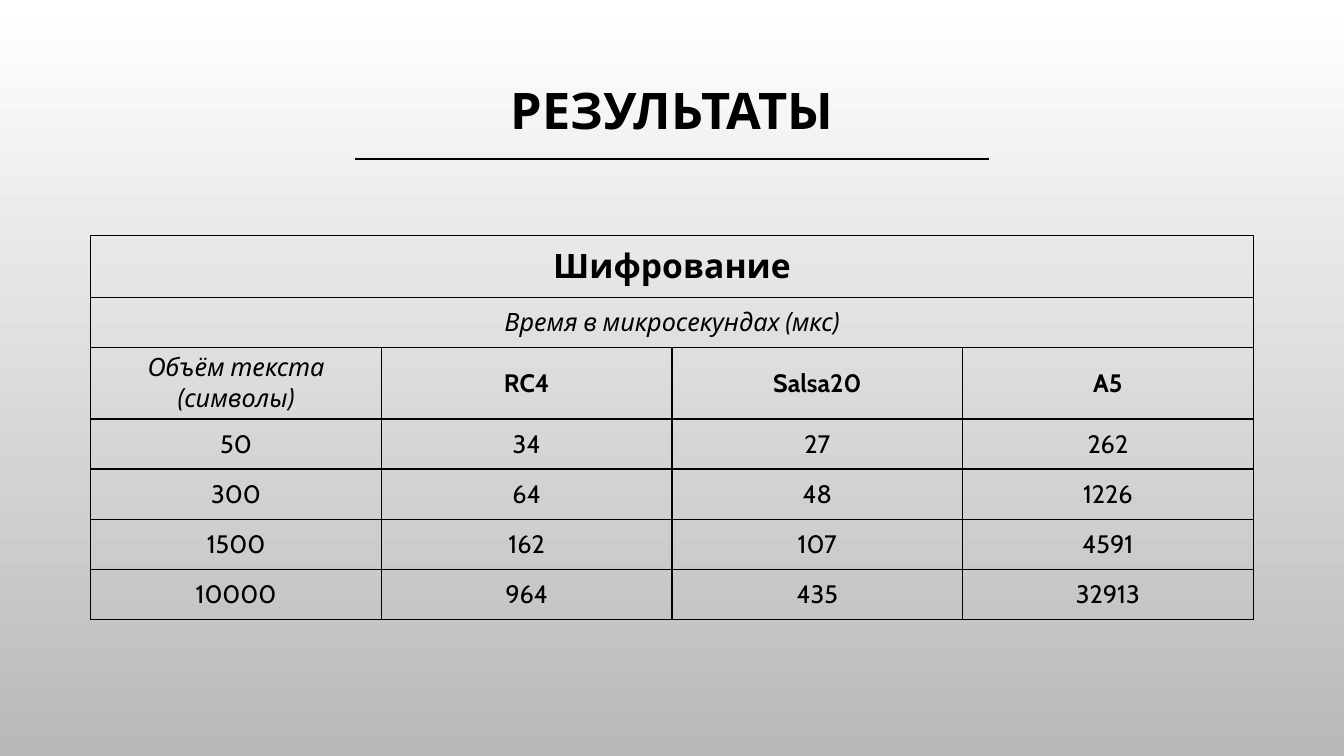
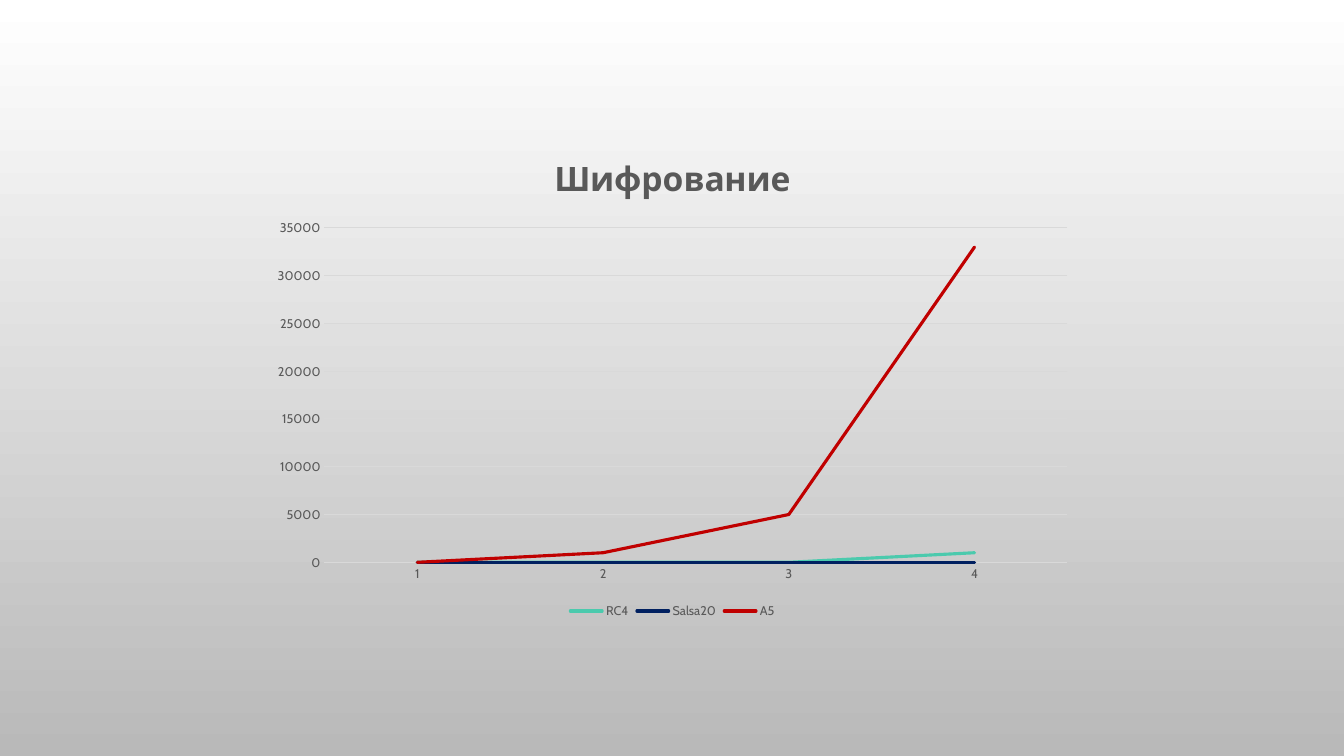
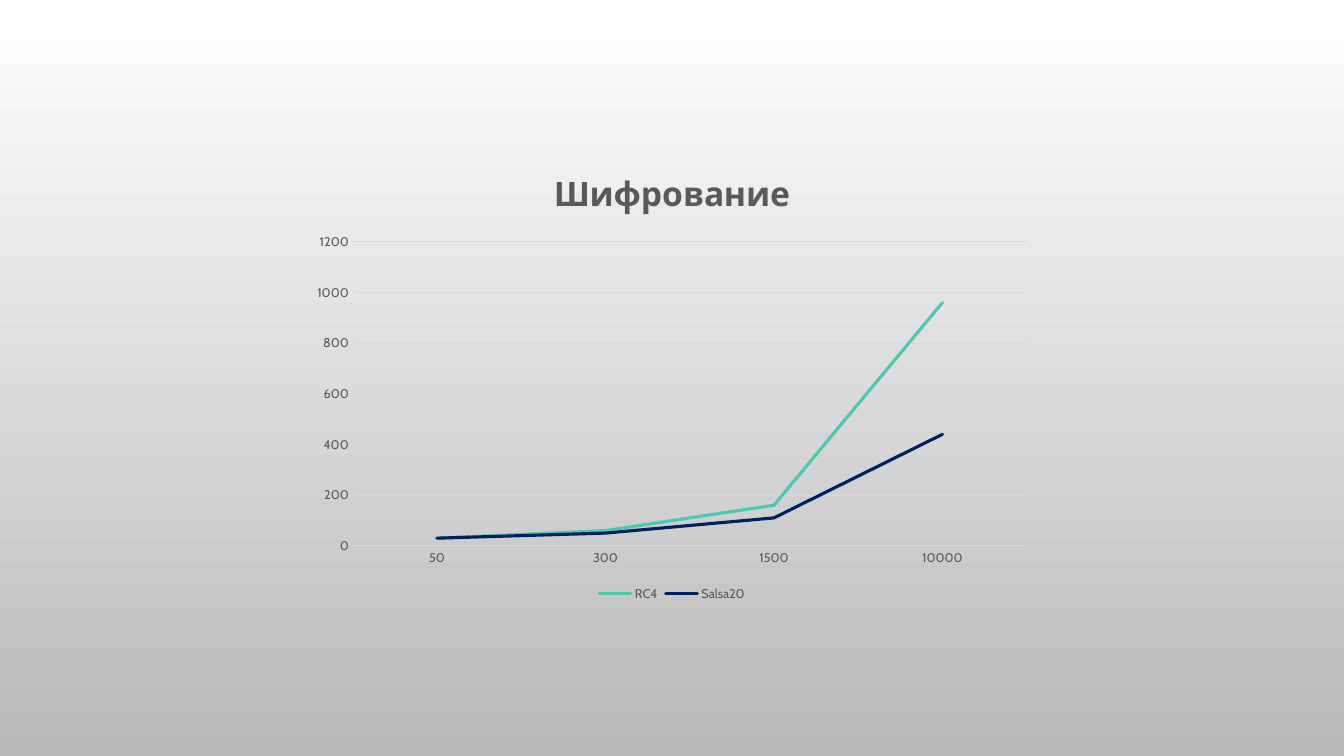
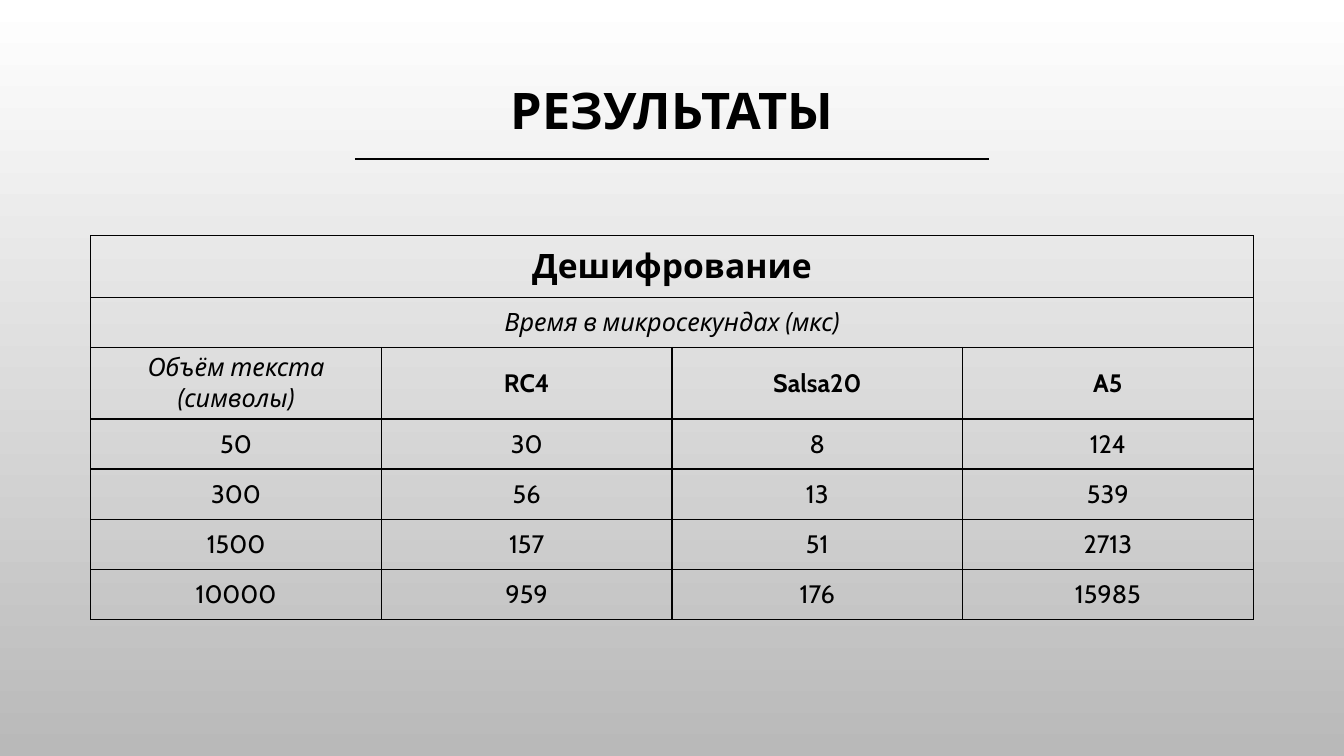
import dataclasses

import lxml.etree
import pptx
import pptx.chart.data
import pptx.dml.color
import pptx.enum.chart
import pptx.enum.shapes
import pptx.enum.text
import pptx.oxml.ns
import pptx.util

Inches = pptx.util.Inches
Pt = pptx.util.Pt
qn = pptx.oxml.ns.qn


@dataclasses.dataclass(frozen=True)
class Theme:
    font: str = "Cabin"
    ink: str = "000000"
    gray: str = "595959"
    grid: str = "D9D9D9"
    top: str = "FFFFFF"
    foot: str = "B9B9B9"
    lines: tuple = ("4BCAAD", "002060", "C00000")
    title: int = 36
    head: int = 24
    body: int = 18
    base: int = 10
    small: int = 9


THEME = Theme()

CIPHERS = ("RC4", "Salsa20", "A5")
SIZES = (50, 300, 1500, 10000)
ENCODE = ((34, 27, 262), (64, 48, 1226), (162, 107, 4591), (964, 435, 32913))
DECODE = ((30, 8, 124), (56, 13, 539), (157, 51, 2713), (959, 176, 15985))


def rgb(code):
    return pptx.dml.color.RGBColor.from_string(code)


def style(font, size, color, bold=False, italic=False):
    font.name = THEME.font
    font.size = Pt(size)
    font.color.rgb = rgb(color)
    font.bold = bold
    font.italic = italic


def write(frame, text, size=THEME.body, color=THEME.ink, bold=False,
          italic=False, space=None):
    """Put one centred paragraph into a text frame."""
    para = frame.paragraphs[0]
    para.alignment = pptx.enum.text.PP_ALIGN.CENTER
    if space:
        para.line_spacing = space
    run = para.add_run()
    run.text = text
    style(run.font, size, color, bold, italic)


def stroke(line, color, width):
    line.color.rgb = rgb(color)
    line.width = Pt(width)


def paint(master):
    """Give every slide the vertical gradient."""
    fill = master.background.fill
    fill.gradient()
    fill.gradient_angle = 270
    for stop, color in zip(fill.gradient_stops, (THEME.top, THEME.foot)):
        stop.color.rgb = rgb(color)


def header(slide, text, left, top, width, height):
    """Place a title with a centred rule along its lower edge."""
    box = slide.shapes.add_textbox(
        Inches(left), Inches(top), Inches(width), Inches(height))
    frame = box.text_frame
    frame.word_wrap = True
    frame.vertical_anchor = pptx.enum.text.MSO_ANCHOR.MIDDLE
    write(frame, text, size=THEME.title, bold=True, space=0.9)

    span = 6.29
    start = left + (width - span) / 2
    base = Inches(top + height + 0.01)
    rule = slide.shapes.add_connector(
        pptx.enum.shapes.MSO_CONNECTOR.STRAIGHT,
        Inches(start), base, Inches(start + span), base)
    stroke(rule.line, THEME.ink, 1.5)
    lxml.etree.SubElement(rule._element.spPr, qn("a:effectLst"))


def border(cell, color, width):
    props = cell._tc.get_or_add_tcPr()
    for side in ("lnL", "lnR", "lnT", "lnB"):
        line = lxml.etree.SubElement(props, qn("a:" + side), w=str(Pt(width)))
        fill = lxml.etree.SubElement(line, qn("a:solidFill"))
        lxml.etree.SubElement(fill, qn("a:srgbClr"), val=color)


def results(slide, name, data, left, top, width, height, first=0.61, wrap=0.2):
    """Place a table: two merged heading rows, cipher names, then timings.

    The height keeps room (wrap) for the row whose text takes two lines.
    """
    plain, bold, italic = {}, {"bold": True}, {"italic": True}
    rows = [
        [(name, {"size": THEME.head, "bold": True})],
        [("Время в микросекундах (мкс)", italic)],
        [("Объём текста (символы)", italic)] + [(c, bold) for c in CIPHERS],
    ]
    for size, times in zip(SIZES, data):
        rows.append([(str(value), plain) for value in (size, *times)])

    count = len(CIPHERS) + 1
    step = (height - first - wrap) / (len(rows) - 1)
    table = slide.shapes.add_table(
        len(rows), count, Inches(left), Inches(top),
        Inches(width), Inches(height)).table
    table.first_row = table.horz_banding = False
    for col in table.columns:
        col.width = Inches(width / count)
    for index, row in enumerate(rows):
        table.rows[index].height = Inches(step if index else first)
        if len(row) == 1:
            table.cell(index, 0).merge(table.cell(index, count - 1))
        for place, (text, form) in enumerate(row):
            write(table.cell(index, place).text_frame, text, **form)
    for cell in table.iter_cells():
        cell.vertical_anchor = pptx.enum.text.MSO_ANCHOR.MIDDLE
        border(cell, THEME.ink, 1)
        cell.fill.background()


def graph(slide, name, cats, names, data, unit, left, top, width, height):
    """Place a line chart, one line a name, values rounded to the unit."""
    source = pptx.chart.data.CategoryChartData()
    source.categories = [str(cat) for cat in cats]
    for label, values in zip(names, zip(*data)):
        source.add_series(label, [round(v / unit) * unit for v in values])
    chart = slide.shapes.add_chart(
        pptx.enum.chart.XL_CHART_TYPE.LINE, Inches(left), Inches(top),
        Inches(width), Inches(height), source).chart
    style(chart.font, THEME.base, THEME.ink)

    chart.has_title = True
    write(chart.chart_title.text_frame, name, size=THEME.head,
          color=THEME.gray, bold=True)
    chart.has_legend = True
    chart.legend.position = pptx.enum.chart.XL_LEGEND_POSITION.BOTTOM
    chart.legend.include_in_layout = False
    style(chart.legend.font, THEME.small, THEME.gray)

    for axis in (chart.category_axis, chart.value_axis):
        axis.major_tick_mark = pptx.enum.chart.XL_TICK_MARK.NONE
        axis.minor_tick_mark = pptx.enum.chart.XL_TICK_MARK.NONE
        style(axis.tick_labels.font, THEME.small, THEME.gray)
    stroke(chart.category_axis.format.line, THEME.grid, 0.75)
    stroke(chart.value_axis.major_gridlines.format.line, THEME.grid, 0.75)
    chart.value_axis.format.line.fill.background()

    plot = chart.plots[0]
    plot.vary_by_categories = False
    for series, color in zip(plot.series, THEME.lines):
        series.smooth = False
        stroke(series.format.line, color, 2.25)
        series._element.spPr.find(qn("a:ln")).set("cap", "rnd")


def main():
    deck = pptx.Presentation()
    deck.slide_width = Inches(13.33)
    deck.slide_height = Inches(7.5)
    paint(deck.slide_master)

    def blank():
        return deck.slides.add_slide(deck.slide_layouts[6])

    def report(name, data):
        slide = blank()
        results(slide, name, data, 0.9, 2.34, 11.53, 3.79)
        header(slide, "РЕЗУЛЬТАТЫ", 1, 0.67, 11.33, 0.9)

    report("Шифрование", ENCODE)
    graph(blank(), "Шифрование", range(1, 5), CIPHERS, ENCODE, 1000,
          2.59, 1.33, 8.16, 4.85)
    graph(blank(), "Шифрование", SIZES, CIPHERS[:2], ENCODE, 10,
          3, 1.48, 7.33, 4.53)
    report("Дешифрование", DECODE)
    deck.save("out.pptx")


if __name__ == "__main__":
    main()
